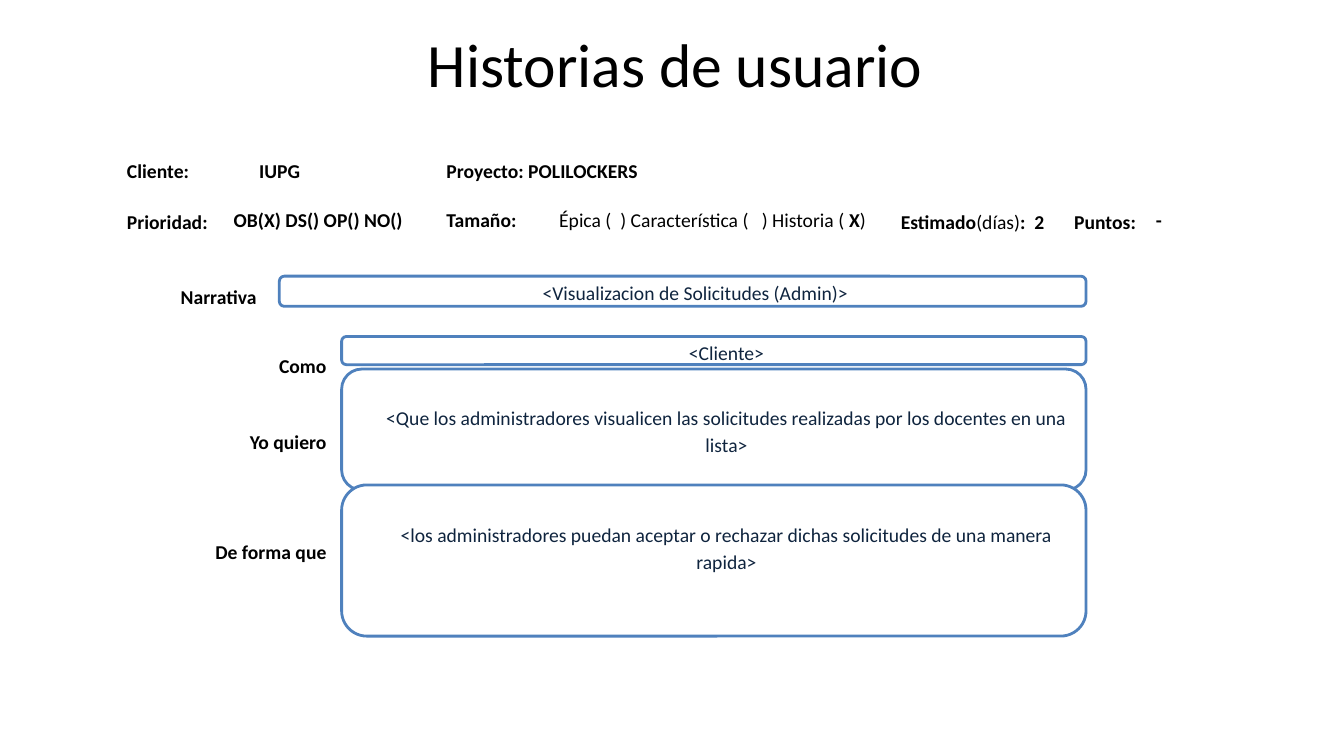
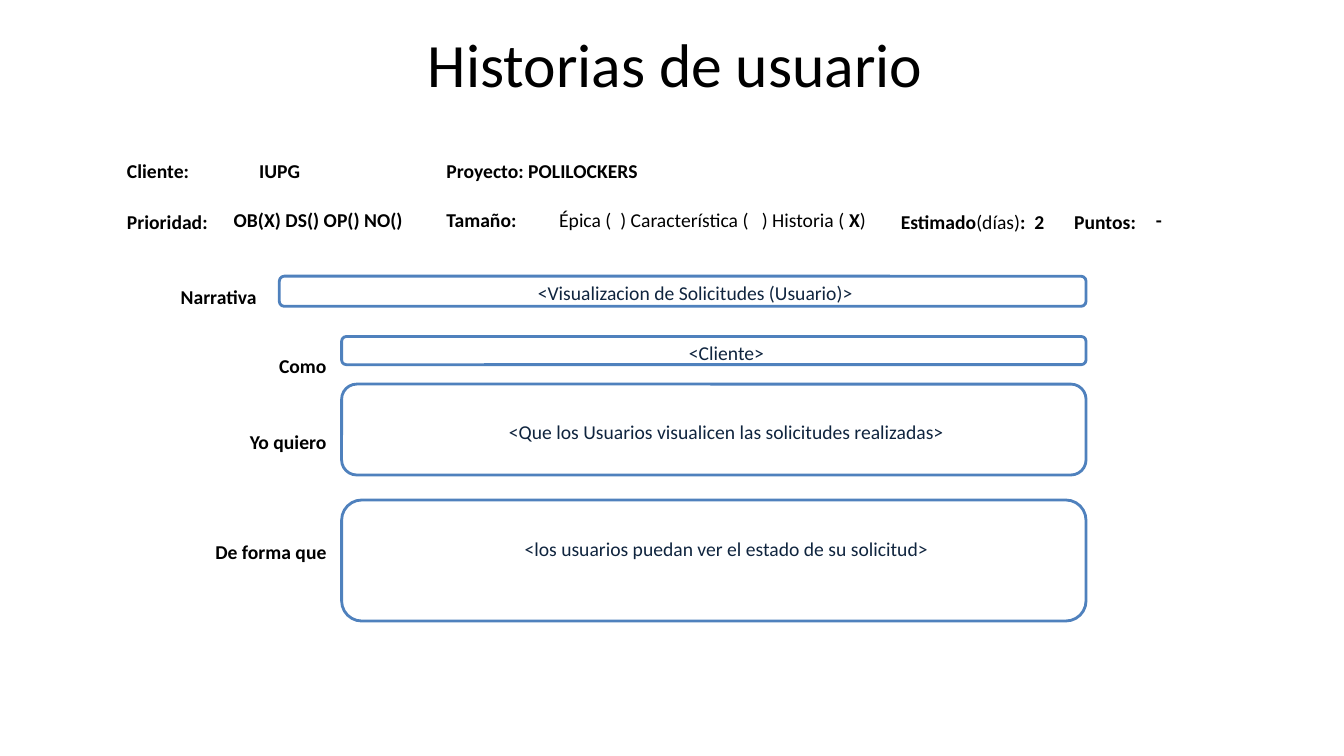
import pptx
import pptx.dml.color
import pptx.enum.shapes
import pptx.enum.text
import pptx.util

Cm = pptx.util.Cm
Pt = pptx.util.Pt
RGBColor = pptx.dml.color.RGBColor
ALIGN = pptx.enum.text.PP_ALIGN
MIDDLE = pptx.enum.text.MSO_ANCHOR.MIDDLE

BLACK = RGBColor(0x00, 0x00, 0x00)
WHITE = RGBColor(0xFF, 0xFF, 0xFF)
NAVY = RGBColor(0x0F, 0x24, 0x3E)
BLUE = RGBColor(0x4F, 0x81, 0xBD)

FONT = "Calibri"
INDENT = Cm(0.64)
BLANK_LINE = Cm(0.69)
LOOSE = 1.15
ANSWER_LEFT, ANSWER_RIGHT = 8.61, 27.37

CELL_FORMAT = {
    "margin_left": Cm(0.18),
    "margin_right": Cm(0.18),
    "margin_top": Cm(0.05),
    "margin_bottom": 0,
    "vertical_anchor": MIDDLE,
}
ANSWER_FORMAT = {
    "margin_left": 0,
    "margin_right": 0,
    "margin_top": 0,
    "margin_bottom": 0,
    "vertical_anchor": MIDDLE,
    "word_wrap": True,
}
PLAIN_TABLE = {"first_row": False, "horz_banding": False}

HEADER_COLUMNS = [2.69, 5.36, 2.84, 8.61, 4.37, 2.06, 1.17]
HEADER_ROWS = [1.17, 1.4]
HEADER_FIELDS = [
    (0, 0, [("Cliente:", True)], LOOSE, 0),
    (0, 1, [("IUPG", True)], LOOSE, INDENT),
    (0, 2, [("Proyecto: POLILOCKERS", True)], LOOSE, 0),
    (1, 0, [("Prioridad:", True)], LOOSE, 0),
    (1, 1, [("OB(X) DS() OP() NO()", True)], 1.0, 0),
    (1, 2, [("Tamaño:", True)], 1.0, 0),
    (1, 3, [("Épica (  ) Característica (   ) Historia ( ", False),
            ("X", True), (")", False)], 1.0, 0),
    (1, 4, [("Estimado", True), ("(días)", False), (":  2", True)], LOOSE, 0),
    (1, 5, [("Puntos:", True)], LOOSE, 0),
    (1, 6, [("-", True)], 1.0, 0),
]

STORY_COLUMNS = [3.0, 1.4, 19.56]
STORY_ROWS = [1.57, 1.91, 1.91, 3.63]
STORY_LABELS = ["Narrativa", "Como", "Yo quiero", "De forma que"]

STORIES = [
    {
        "narrative": "<Visualizacion de Solicitudes (Admin)>",
        "want": ("<Que los administradores visualicen las solicitudes "
                 "realizadas por los docentes en una lista>", 9.3, 3.05),
        "purpose": ("<los administradores puedan aceptar o rechazar dichas "
                    "solicitudes de una manera rapida>", 12.22, 3.81),
    },
    {
        "narrative": "<Visualizacion de Solicitudes (Usuario)>",
        "want": ("<Que los Usuarios visualicen las solicitudes realizadas>",
                 9.68, 2.29),
        "purpose": ("<los usuarios puedan ver el estado de su solicitud>",
                    12.6, 3.05),
    },
]


def apply_format(target, values):
    """Set every attribute named in values on target."""
    for name, value in values.items():
        setattr(target, name, value)


def write(frame, runs, size=14, color=BLACK, align=ALIGN.LEFT, spacing=LOOSE,
          indent=0):
    """Write (text, bold) runs as the only paragraph of a text frame."""
    paragraph = frame.paragraphs[0]
    apply_format(paragraph, {"alignment": align, "line_spacing": spacing})
    properties = paragraph._p.get_or_add_pPr()
    properties.set("marL", str(int(indent)))
    properties.set("indent", "0")
    for text, bold in runs:
        run = paragraph.add_run()
        run.text = text
        apply_format(run.font, {"name": FONT, "size": Pt(size), "bold": bold})
        run.font.color.rgb = color


def add_title(slide, text):
    """Add the large centred heading."""
    heading = slide.shapes.add_textbox(Cm(1.78), 0, Cm(30.48), Cm(3.18))
    apply_format(heading.text_frame,
                 {"word_wrap": True, "vertical_anchor": MIDDLE})
    write(heading.text_frame, [(text, False)], size=44, align=ALIGN.CENTER,
          spacing=1.0)


def add_plain_table(slide, left, top, columns, rows):
    """Add a table without fills and return it."""
    grid = slide.shapes.add_table(
        len(rows), len(columns), Cm(left), Cm(top),
        Cm(sum(columns)), Cm(sum(rows))).table
    apply_format(grid, PLAIN_TABLE)
    for column, width in zip(grid.columns, columns):
        column.width = Cm(width)
    for row, height in zip(grid.rows, rows):
        row.height = Cm(height)
    for cell in grid.iter_cells():
        apply_format(cell, CELL_FORMAT)
        cell.fill.background()
    return grid


def add_header(slide):
    """Add the client, project and estimate fields."""
    header = add_plain_table(slide, 3.02, 3.68, HEADER_COLUMNS, HEADER_ROWS)
    header.cell(0, 2).merge(header.cell(0, 6))
    for row, column, runs, spacing, indent in HEADER_FIELDS:
        write(header.cell(row, column).text_frame, runs, spacing=spacing,
              indent=indent)


def add_story_labels(slide):
    """Add the labels that stand left of the answers."""
    labels = add_plain_table(slide, 4.01, 6.65, STORY_COLUMNS, STORY_ROWS)
    labels.cell(0, 1).merge(labels.cell(0, 2))
    for row, label in enumerate(STORY_LABELS):
        if row:
            labels.cell(row, 0).merge(labels.cell(row, 1))
        write(labels.cell(row, 0).text_frame, [(label, True)],
              align=ALIGN.RIGHT if row else ALIGN.CENTER)


def add_answer(slide, text, top, height, left=ANSWER_LEFT, lift=0):
    """Add a rounded answer box, with its text raised by a bottom margin."""
    answer = slide.shapes.add_shape(
        pptx.enum.shapes.MSO_SHAPE.ROUNDED_RECTANGLE,
        Cm(left), Cm(top), Cm(ANSWER_RIGHT - left), Cm(height))
    answer.shadow.inherit = False
    answer.fill.solid()
    answer.fill.fore_color.rgb = WHITE
    answer.line.color.rgb = BLUE
    answer.line.width = Pt(2)
    apply_format(answer.text_frame, {**ANSWER_FORMAT, "margin_bottom": lift})
    write(answer.text_frame, [(text, False)], color=NAVY, align=ALIGN.CENTER,
          indent=INDENT)


def add_story(deck, story):
    """Add one user story slide."""
    slide = deck.slides.add_slide(deck.slide_layouts[6])
    add_title(slide, "Historias de usuario")
    add_story_labels(slide)
    add_answer(slide, story["narrative"], 6.96, 0.76, left=7.04)
    add_answer(slide, "<Cliente>", 8.48, 0.71)
    add_answer(slide, *story["want"])
    add_answer(slide, *story["purpose"], lift=BLANK_LINE)
    add_header(slide)


def main():
    """Build and save the deck."""
    deck = pptx.Presentation()
    apply_format(deck, {"slide_width": Cm(33.87), "slide_height": Cm(19.05)})
    for story in STORIES:
        add_story(deck, story)
    deck.save("out.pptx")


main()
